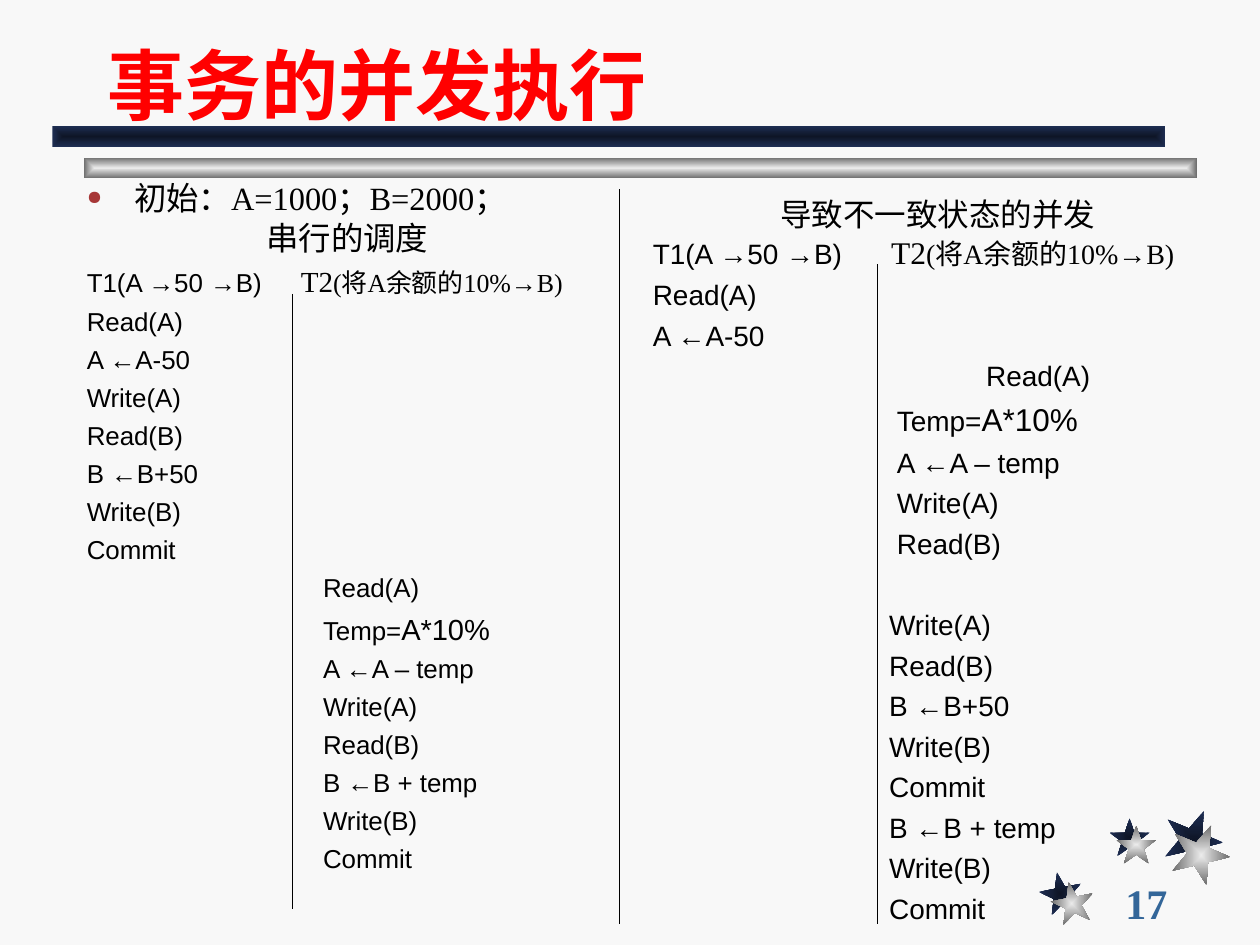
"""Build the slide comparing serial and inconsistent concurrent schedules."""
import math

from lxml import etree
from pptx import Presentation
from pptx.dml import color
from pptx.enum import shapes, text
from pptx.oxml import ns
from pptx.util import Pt

COLORS = {
    "background": "F8F8F8", "title": "FF0000", "text": "000000",
    "number": "336699", "bullet": "A73737",
    "navy": ("0E1526", "1E2E53"), "silver": ("EAEAEA", "6C6C6C"),
}
SANS, SERIF = "Arial", "Times New Roman"


def add_gradient(shape, stops):
    shape.shadow.inherit = False
    shape.line.fill.background()
    shape.fill.gradient()
    for stop, value in zip(shape.fill.gradient_stops, stops):
        stop.color.rgb = color.RGBColor.from_string(value)
    gradient = shape.element.spPr.find(ns.qn("a:gradFill"))
    gradient.remove(gradient.find(ns.qn("a:lin")))
    path = etree.SubElement(gradient, ns.qn("a:path"), path="rect")
    etree.SubElement(path, ns.qn("a:fillToRect"), l="50000", t="50000", r="50000", b="50000")


def write_paragraph(frame, runs, indent=0, before=0, ink="text", bold=False):
    paragraph = frame.paragraphs[0]
    if paragraph.runs:
        paragraph = frame.add_paragraph()
    paragraph.space_before = Pt(before)
    properties = paragraph._p.get_or_add_pPr()
    properties.set("marL", str(Pt(indent)))
    properties.set("indent", "0")
    for words, size, font in runs:
        run = paragraph.add_run()
        run.text = words
        run.font.size = Pt(size)
        run.font.name = font
        run.font.bold = bold
        run.font.color.rgb = color.RGBColor.from_string(COLORS[ink])
    return paragraph


presentation = Presentation()
presentation.slide_width, presentation.slide_height = Pt(720), Pt(540)
slide = presentation.slides.add_slide(presentation.slide_layouts[5])
slide.background.fill.solid()
slide.background.fill.fore_color.rgb = color.RGBColor.from_string(COLORS["background"])

stars = [
    ("navy", 606.5, 511.3, 13, -11), ("navy", 645.5, 479.6, 12, 0), ("navy", 681.1, 480.1, 18, 22.5),
    ("silver", 613.2, 516.8, 13, -11), ("silver", 649.3, 483.8, 12, 0), ("silver", 685.2, 488.3, 18, 22.5),
]
for name, center_x, center_y, radius, turn in stars:
    points = []
    for corner in range(10):
        reach = radius * (0.38 if corner % 2 else 1)
        angle = math.radians(turn + 36 * corner)
        points.append((Pt(center_x + reach * math.sin(angle)), Pt(center_y - reach * math.cos(angle))))
    builder = slide.shapes.build_freeform(*points[0])
    builder.add_line_segments(points[1:], close=True)
    add_gradient(builder.convert_to_shape(), COLORS[name])

for name, left, top in [("silver", 48, 90), ("navy", 30, 72)]:
    bar = slide.shapes.add_shape(shapes.MSO_SHAPE.RECTANGLE, Pt(left), Pt(top), Pt(636), Pt(12))
    add_gradient(bar, COLORS[name])

title = slide.shapes.title
title.left, title.top, title.width, title.height = Pt(54), Pt(12), Pt(612), Pt(66)
title.text_frame.vertical_anchor = text.MSO_ANCHOR.BOTTOM
heading = write_paragraph(title.text_frame, [("事务的并发执行", 44, SANS)], ink="title", bold=True)
heading.alignment = text.PP_ALIGN.LEFT

frames = {}
for name, left, top, width, height in [
    ("concurrent", 366, 108, 340, 420.5),
    ("number", 636, 504, 78, 24),
    ("serial", 42.5, 101, 312, 427),
]:
    frame = slide.shapes.add_textbox(Pt(left), Pt(top), Pt(width), Pt(height)).text_frame
    frame.word_wrap = True
    frames[name] = frame

frames["number"].vertical_anchor = text.MSO_ANCHOR.MIDDLE
write_paragraph(frames["number"], [("17", 24, SERIF)], ink="number", bold=True)

initial = write_paragraph(frames["serial"], [("初始：A=1000；B=2000；", 18.5, SERIF)], indent=27)
initial.line_spacing = 0.9
bullet = initial._p.get_or_add_pPr()
bullet.set("indent", str(-Pt(27)))
bullet_color = etree.SubElement(bullet, ns.qn("a:buClr"))
etree.SubElement(bullet_color, ns.qn("a:srgbClr"), val=COLORS["bullet"])
etree.SubElement(bullet, ns.qn("a:buSzPct"), val="60000")
etree.SubElement(bullet, ns.qn("a:buChar"), char="●")

first_steps = ["Read(A)", "A ←A-50", "Write(A)", "Read(B)", "B ←B+50", "Write(B)", "Commit"]
second_steps = ["Read(A)", "Temp=", "A ←A – temp", "Write(A)", "Read(B)", "B ←B + temp", "Write(B)", "Commit"]
schedules = [
    ("serial", "串行的调度", 18.5, 14.8, 16.6, 18.2, 4,
     [(step, 0) for step in first_steps] + [(step, 135) for step in second_steps]),
    ("concurrent", "导致不一致状态的并发", 18, 16, 18, 23.5, 0,
     [(step, 0) for step in first_steps[:2]] + [(second_steps[0], 190.5)]
     + [(step, 139.5) for step in second_steps[1:5]]
     + [(step, 135) for step in first_steps[2:] + second_steps[5:]]),
]
for name, caption, caption_size, size, large, spacing, header_gap, steps in schedules:
    frame = frames[name]
    write_paragraph(frame, [(caption, caption_size, SANS)]).alignment = text.PP_ALIGN.CENTER
    header = write_paragraph(frame, [
        ("T1(A →50 →B)", size, SANS), (" ", size, SANS),
        ("T2", large, SERIF), ("(将A余额的10%→B)", size, SERIF),
    ], before=header_gap)
    header.runs[1].font._element.set("spc", str(round(spacing * 100)))
    for index, (step, indent) in enumerate(steps):
        runs, before = [(step, size, SANS)], 4
        if step == "Temp=":
            runs.append(("A*10%", large, SANS))
            before = 4.5
        if name == "concurrent" and index == 7:
            before = 27.2
        write_paragraph(frame, runs, indent, before)

for x, top, bottom in [(354, 108, 528), (167, 168, 519.5), (501.5, 151, 528)]:
    divider = slide.shapes.add_connector(shapes.MSO_CONNECTOR.STRAIGHT, Pt(x), Pt(top), Pt(x), Pt(bottom))
    divider.line.width = Pt(0.75)
    divider.line.color.rgb = color.RGBColor.from_string(COLORS["text"])
    etree.SubElement(divider.element.spPr, ns.qn("a:effectLst"))

presentation.save("out.pptx")
